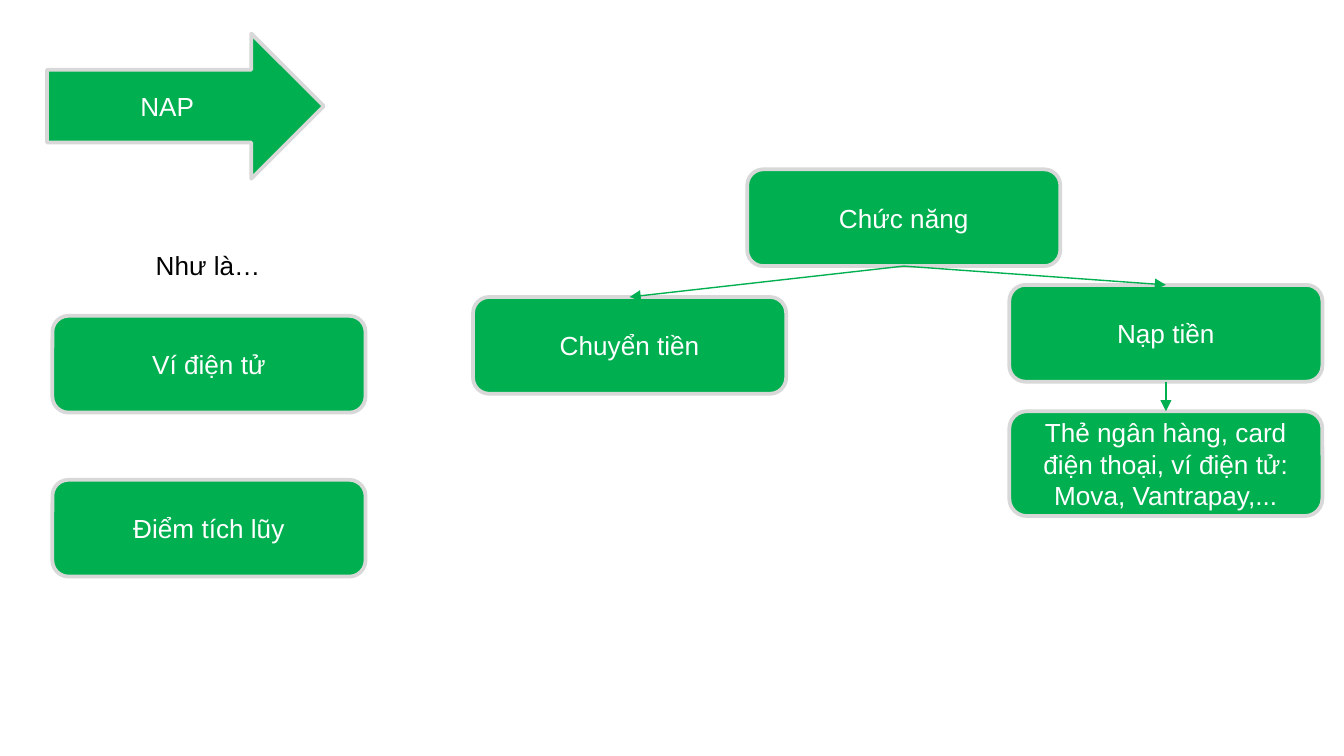
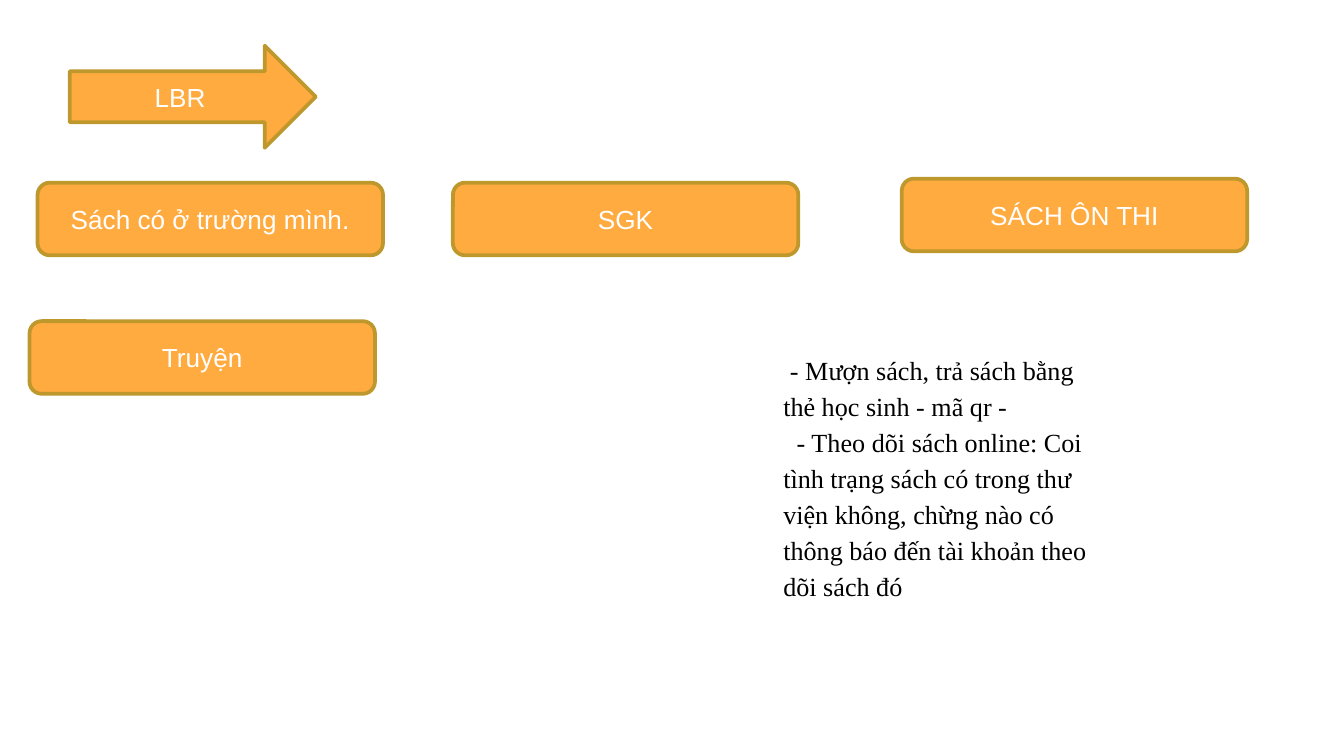
from dataclasses import dataclass

from lxml import etree
from pptx import Presentation
from pptx import util as u
from pptx.dml.color import RGBColor
from pptx.enum import shapes, text
from pptx.oxml import ns

PX = 9144


@dataclass(frozen=True)
class Palette:
    fill: str
    line: str


@dataclass(frozen=True)
class Theme:
    nap: Palette = Palette("00B050", "D8D8D8")
    lbr: Palette = Palette("FFAB40", "BE982C")
    ink: str = "000000"
    paper: str = "FFFFFF"
    sans: str = "Arial"
    serif: str = "Times New Roman"
    size: int = 14
    border: float = 2
    link: float = 0.75


THEME = Theme()


def px(*lengths):
    return [u.Emu(n * PX) for n in lengths]


def rgb(value):
    return RGBColor.from_string(value)


def add_run(p, words, color, font):
    r = p.add_run()
    r.text = words
    r.font.size = u.Pt(THEME.size)
    r.font.name = font
    r.font.color.rgb = rgb(color)


def add_block(s, kind, box, words, palette):
    sp = s.shapes.add_shape(kind, *px(*box))
    sp.shadow.inherit = False
    sp.fill.solid()
    sp.fill.fore_color.rgb = rgb(palette.fill)
    sp.line.color.rgb = rgb(palette.line)
    sp.line.width = u.Pt(THEME.border)
    tf = sp.text_frame
    tf.word_wrap = True
    tf.vertical_anchor = text.MSO_ANCHOR.MIDDLE
    p = tf.paragraphs[0]
    p.alignment = text.PP_ALIGN.CENTER
    add_run(p, words, THEME.paper, THEME.sans)
    return sp


def add_arrow(s, box, words, palette):
    return add_block(s, shapes.MSO_SHAPE.RIGHT_ARROW, box, words, palette)


def add_card(s, box, words, palette):
    return add_block(s, shapes.MSO_SHAPE.ROUNDED_RECTANGLE, box, words, palette)


def add_text(s, box):
    tf = s.shapes.add_textbox(*px(*box)).text_frame
    tf.word_wrap = True
    return tf


def link_down(s, parent, child, color):
    line = s.shapes.add_connector(shapes.MSO_CONNECTOR.STRAIGHT, 0, 0, 0, 0)
    line.begin_connect(parent, 2)
    line.end_connect(child, 0)
    line.line.color.rgb = rgb(color)
    line.line.width = u.Pt(THEME.link)
    etree.SubElement(line.line._get_or_add_ln(), ns.qn("a:tailEnd"), type="triangle")
    etree.SubElement(line._element.spPr, ns.qn("a:effectLst"))


def examples_region(s, x, y, w, h):
    card_h, pitch = 72, 122
    first = y + h - pitch - card_h
    for i, words in enumerate(("Ví điện tử", "Điểm tích lũy")):
        add_card(s, (x, first + i * pitch, w, card_h), words, THEME.nap)
    tf = add_text(s, (x + 67, y, 99, 34))
    tf.auto_size = text.MSO_AUTO_SIZE.SHAPE_TO_FIT_TEXT
    add_run(tf.paragraphs[0], "Như là…", THEME.ink, THEME.sans)


def functions_region(s, x, y, w, h):
    card_w, card_h, methods_h = 233, 72, 78
    right = x + w - card_w
    root = add_card(s, (x + 204, y, card_w, card_h), "Chức năng", THEME.nap)
    transfer = add_card(s, (x, y + 95, card_w, card_h), "Chuyển tiền", THEME.nap)
    top_up = add_card(s, (right, y + 86, card_w, card_h), "Nạp tiền", THEME.nap)
    methods = add_card(
        s, (right, y + h - methods_h, card_w, methods_h),
        "Thẻ ngân hàng, card điện thoại, ví điện tử: Mova, Vantrapay,...", THEME.nap)
    for parent, child in ((root, transfer), (root, top_up), (top_up, methods)):
        link_down(s, parent, child, THEME.nap.fill)


def books_region(s, x, y):
    cards = (
        (6, 3, "Sách có ở trường mình."),
        (315, 3, "SGK"),
        (649, 0, "SÁCH ÔN THI"),
        (0, 106, "Truyện"),
    )
    for dx, dy, words in cards:
        add_card(s, (x + dx, y + dy, 257, 54), words, THEME.lbr)


def services_region(s, x, y, w, h):
    tf = add_text(s, (x, y, w, h))
    tf.margin_top, tf.margin_bottom = px(10, 10)
    notes = (
        (5, "- Mượn sách, trả sách bằng thẻ học sinh - mã qr -"),
        (10, "- Theo dõi sách online: Coi tình trạng sách có trong thư viện không, "
             "chừng nào có thông báo đến tài khoản theo dõi sách đó"),
    )
    for i, (indent, words) in enumerate(notes):
        p = tf.add_paragraph() if i else tf.paragraphs[0]
        p.line_spacing = 1.15
        pPr = p._p.get_or_add_pPr()
        pPr.set("marL", "0")
        pPr.set("indent", str(indent * PX))
        add_run(p, words, THEME.ink, THEME.serif)


def nap_slide(s):
    add_arrow(s, (35, 25, 206, 108), "NAP", THEME.nap)
    examples_region(s, 39, 181, 233, 248)
    functions_region(s, 352, 126, 632, 258)


def lbr_slide(s):
    add_arrow(s, (52, 34, 183, 76), "LBR", THEME.lbr)
    books_region(s, 22, 133)
    services_region(s, 573, 250, 256, 215)


def main():
    prs = Presentation()
    prs.slide_width = u.Emu(1000 * PX)
    prs.slide_height = u.Emu(prs.slide_width * 9 // 16)
    blank = prs.slide_layouts.get_by_name("Blank")
    for build in (nap_slide, lbr_slide):
        s = prs.slides.add_slide(blank)
        s.background.fill.solid()
        s.background.fill.fore_color.rgb = rgb(THEME.paper)
        build(s)
    prs.save("out.pptx")


if __name__ == "__main__":
    main()
